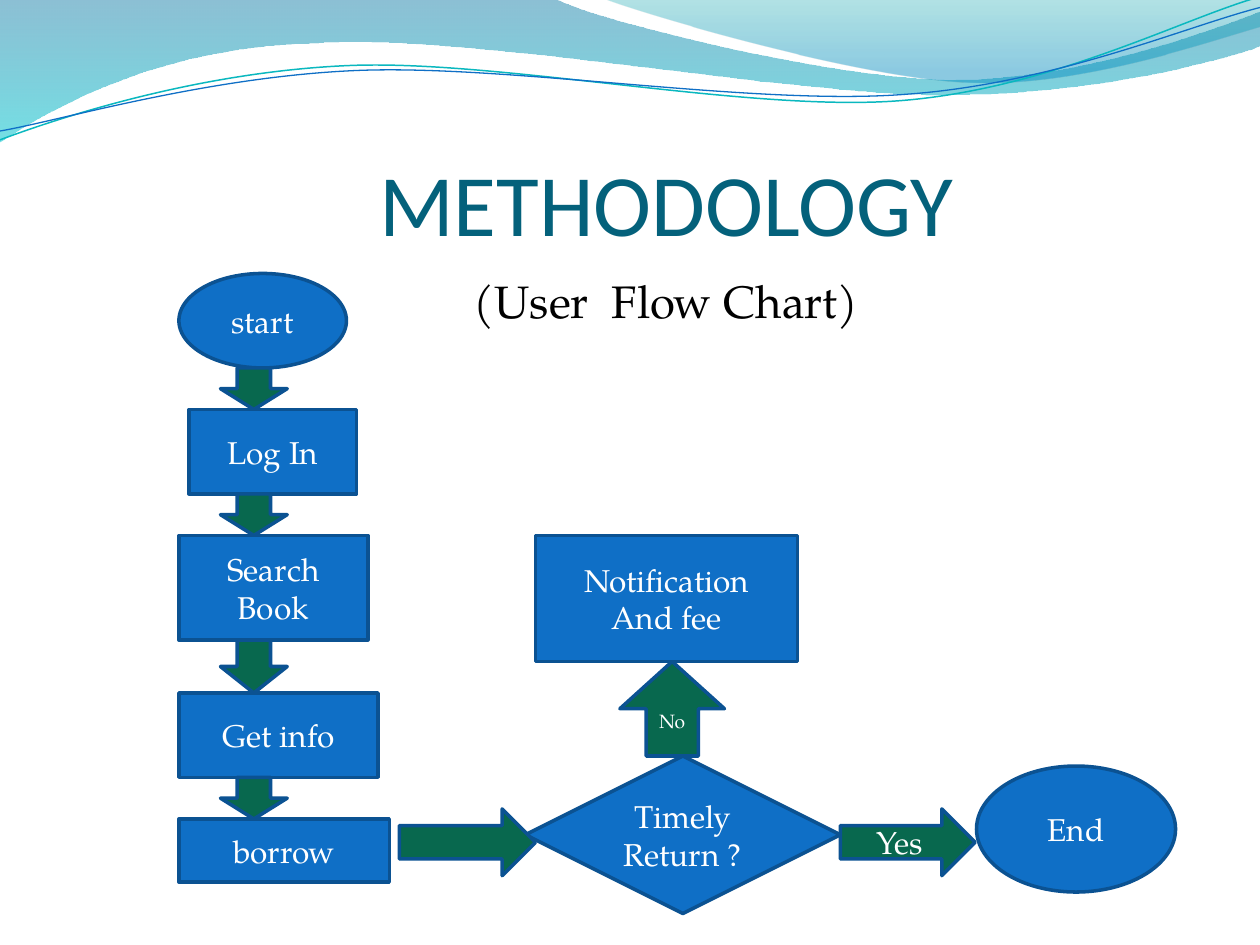
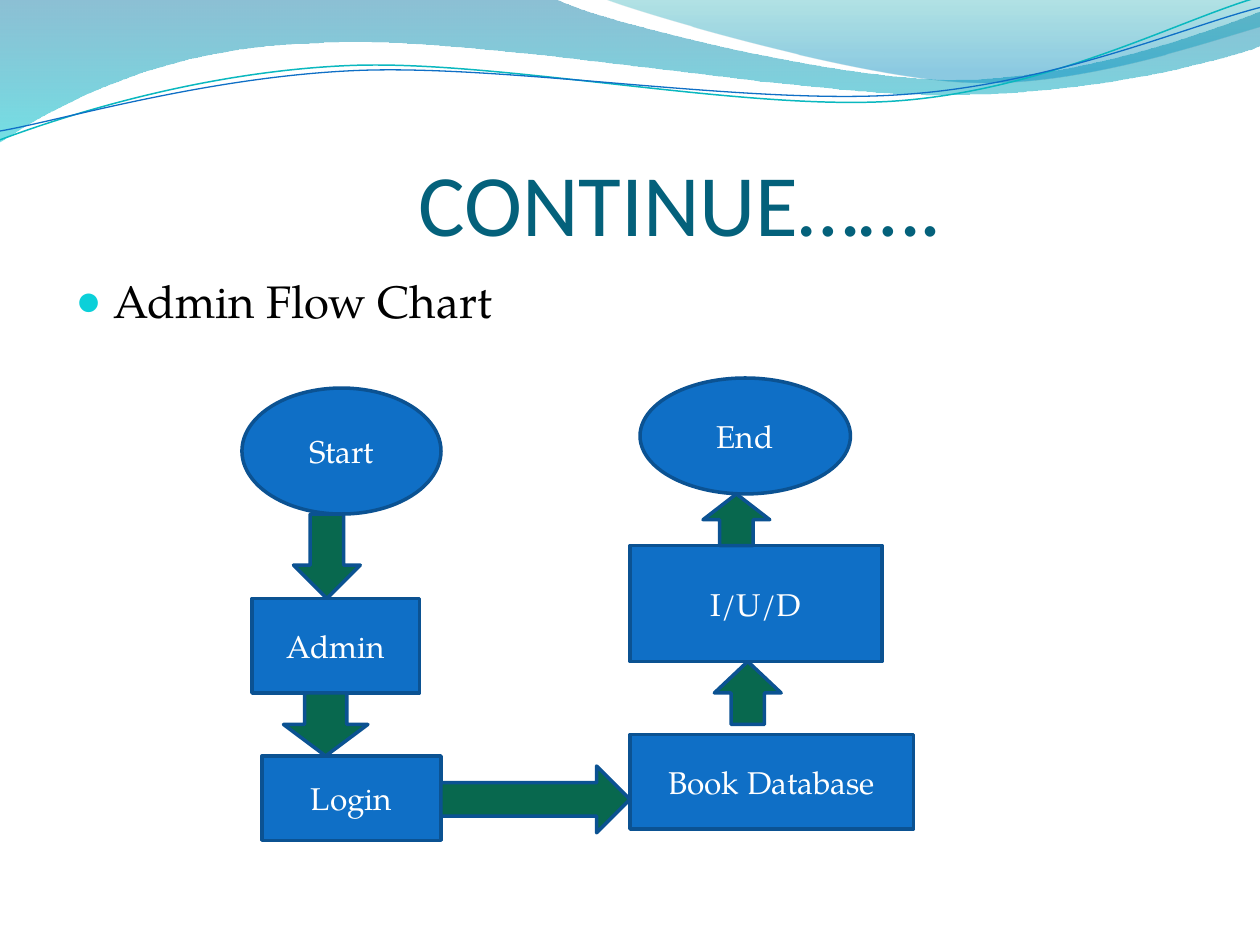
import math
from lxml import etree
from pptx import Presentation, util as u
from pptx.dml.color import RGBColor
from pptx.enum import shapes, text
from pptx.oxml import ns

BLUE, EDGE, GREEN = "0F6FC6", "0B5292", "08684E"
TEAL, INK, WHITE, DOT = "04617B", "000000", "FFFFFF", "0BD0D9"
HEAD, BODY = "Calibri", "TeX Gyre Pagella"
KIND = shapes.MSO_SHAPE
OVAL, RECT, DIAMOND = KIND.OVAL, KIND.RECTANGLE, KIND.DIAMOND
DOWN, UP, RIGHT = KIND.DOWN_ARROW, KIND.UP_ARROW, KIND.RIGHT_ARROW
THICK = 0.53
TILT = -2.7

BANDS = [
    ([(0, 0), (4.4, -0.01),
      (4.76, 0.17, 6.64, 0.63, 7.58, 0.63),
      (8.53, 0.63, 9.58, 0.26, 10, 0.09), (10.01, 0.36),
      (9.83, 0.44, 8.7, 0.76, 7.46, 0.75),
      (6.22, 0.75, 3.82, 0.28, 2.57, 0.34),
      (1.29, 0.36, 0.46, 0.83, -0.01, 1.13), (0, 0)],
     [(0, "0074A1", 45), (1, "00C6CF", 55)]),
    ([(4.79, -0.01),
      (5.09, 0.11, 6.82, 0.62, 7.69, 0.65),
      (8.56, 0.69, 9.61, 0.32, 10, 0.21), (10, 0), (4.79, -0.01)],
     [(0, "00A1A9", 30), (0.8, "008BBF", 45)]),
]
WAVES = [
    ([(0, 1.11),
      (0.48, 0.93, 1.58, 0.57, 2.77, 0.52),
      (3.95, 0.47, 5.93, 0.89, 7.13, 0.8),
      (8.33, 0.71, 9.38, 0.15, 9.98, -0.02)], (4.99, 0.58), "0AB8BF", 0.85),
    ([(0, 1.04),
      (0.47, 0.96, 1.64, 0.61, 2.83, 0.56),
      (4.03, 0.51, 5.97, 0.84, 7.17, 0.75),
      (8.36, 0.67, 9.41, 0.21, 10, 0.06)], (5, 0.59), BLUE, 0.75),
]


def rgb(code):
    return RGBColor.from_string(code)


def sub(node, tag, **attrs):
    return etree.SubElement(node, ns.qn(tag), attrs)


def level(move, mid):
    turn = math.radians(-TILT)
    cos, sin = math.cos(turn), math.sin(turn)
    flat = []
    for x, y in zip(move[::2], move[1::2]):
        dx, dy = x - mid[0], y - mid[1]
        flat += [mid[0] + dx * cos - dy * sin, mid[1] + dx * sin + dy * cos]
    return flat


def outline(slide, path, close):
    points = [(u.Inches(x), u.Inches(y))
              for move in path for x, y in zip(move[::2], move[1::2])]
    pen = slide.shapes.build_freeform(*points[0])
    pen.add_line_segments(points[1:], close=close)
    shape = pen.convert_to_shape()
    shape.shadow.inherit = False
    lines = shape.element.iter(ns.qn("a:lnTo"))
    lines = iter(list(lines))
    for move in path[1:]:
        line = next(lines)
        if len(move) == 6:
            line.tag = ns.qn("a:cubicBezTo")
            for extra in (next(lines), next(lines)):
                line.append(extra[0])
                extra.getparent().remove(extra)
    return shape


def add_band(slide, path, stops):
    shape = outline(slide, path, True)
    shape.line.fill.background()
    shape.fill.gradient()
    shape.fill.gradient_angle = 270
    for stop, (spot, code, _) in zip(shape.fill.gradient_stops, stops):
        stop.position = spot
        stop.color.rgb = rgb(code)
    for node, (_, _, alpha) in zip(shape.element.iter(ns.qn("a:srgbClr")), stops):
        sub(node, "a:alpha", val=str(alpha * 1000))
    return shape


def add_wave(slide, path, mid, code, width):
    shape = outline(slide, [level(move, mid) for move in path], False)
    shape.rotation = TILT
    shape.fill.background()
    shape.line.color.rgb = rgb(code)
    shape.line.width = u.Pt(width)
    return shape


def add_header(master, slide):
    parts = [add_band(slide, *band) for band in BANDS]
    parts += [add_wave(slide, *wave) for wave in WAVES]
    for spot, part in enumerate(parts, 2):
        master.shapes.element.insert(spot, part.element)


def add_run(para, words, size, font, code):
    run = para.add_run()
    run.text = words
    run.font.size = u.Pt(size)
    run.font.name = font
    run.font.color.rgb = rgb(code)


def place(shape, x, y, w, h):
    shape.left, shape.top = u.Inches(x), u.Inches(y)
    shape.width, shape.height = u.Inches(w), u.Inches(h)


def indent(para, left, hang=0):
    props = para._p.get_or_add_pPr()
    props.set("marL", str(u.Inches(left)))
    props.set("indent", str(u.Inches(-hang)))
    return props


def add_title(slide, words, left):
    title = slide.shapes.title
    place(title, 0.5, 0.77, 9, 1.25)
    frame = title.text_frame
    frame.auto_size = text.MSO_AUTO_SIZE.NONE
    frame.vertical_anchor = text.MSO_ANCHOR.BOTTOM
    frame.margin_left = frame.margin_right = frame.margin_bottom = 0
    frame.margin_top = u.Inches(0.05)
    para = frame.paragraphs[0]
    para.alignment = text.PP_ALIGN.LEFT
    indent(para, left)
    add_run(para, words, 50, HEAD, TEAL)


def add_body(slide, words, height, left, bullet):
    body = slide.placeholders[1]
    place(body, 0.5, 2.12, 9, height)
    body.text_frame.auto_size = text.MSO_AUTO_SIZE.NONE
    para = body.text_frame.paragraphs[0]
    props = indent(para, left, 0.3 if bullet else 0)
    if bullet:
        sub(sub(props, "a:buClr"), "a:srgbClr", val=DOT)
        sub(props, "a:buSzPct", val="95000")
        sub(props, "a:buChar", char="●")
    else:
        sub(props, "a:buNone")
    add_run(para, words, 26, BODY, INK)


def add_node(slide, kind, x, y, w, h, words="", fill=BLUE, size=18):
    shape = slide.shapes.add_shape(kind, *map(u.Inches, (x, y, w, h)))
    shape.shadow.inherit = False
    shape.fill.solid()
    shape.fill.fore_color.rgb = rgb(fill)
    shape.line.color.rgb = rgb(EDGE)
    shape.line.width = u.Pt(2)
    frame = shape.text_frame
    frame.word_wrap = True
    frame.vertical_anchor = text.MSO_ANCHOR.MIDDLE
    for i, line in enumerate(words.split("\n") if words else []):
        para = frame.add_paragraph() if i else frame.paragraphs[0]
        para.alignment = text.PP_ALIGN.CENTER
        add_run(para, line, size, BODY, WHITE)


def add_arrow(slide, kind, x, y, w, h, words="", size=18):
    add_node(slide, kind, x, y, w, h, words, GREEN, size)


def user_flow(slide):
    add_title(slide, "METHODOLOGY", 2.51)
    add_body(slide, "(User  Flow Chart)", 4.97, 3.16, False)
    steps = [
        (OVAL, 1.42, 2.17, 1.33, 0.75, "start"),
        (RECT, 1.5, 3.25, 1.33, 0.67, "Log In"),
        (RECT, 1.42, 4.25, 1.5, 0.83, "Search Book"),
        (RECT, 1.42, 5.5, 1.58, 0.67, "Get info"),
        (RECT, 1.42, 6.5, 1.67, 0.5, "borrow"),
    ]
    checks = [
        (DIAMOND, 4.17, 6, 2.5, 1.25, "Timely\nReturn ?"),
        (RECT, 4.25, 4.25, 2.08, 1, "Notification\nAnd fee"),
    ]
    for node in steps + checks:
        add_node(slide, *node)
    for above, below in zip(steps, steps[1:]):
        top = above[2] + above[4]
        add_arrow(slide, DOWN, 1.75, top, THICK, below[2] - top)
    add_arrow(slide, RIGHT, 3.17, 6.42, 1.08, THICK)
    add_arrow(slide, UP, 4.92, 5.25, 0.83, 0.75, "No", 11)
    add_arrow(slide, RIGHT, 6.67, 6.42, 1.07, THICK, "Yes")
    add_node(slide, OVAL, 7.75, 6.08, 1.58, 1, "End")


def admin_flow(slide):
    add_title(slide, "CONTINUE…….", 2.82)
    add_body(slide, "Admin Flow Chart", 4.8, 0.3, True)
    for node in [
        (RECT, 2, 4.75, 1.33, 0.75, "Admin"),
        (OVAL, 1.92, 3.08, 1.58, 1, "Start"),
        (RECT, 2.08, 6, 1.42, 0.67, "Login"),
        (RECT, 5, 5.83, 2.25, 0.75, "Book Database"),
        (RECT, 5, 4.33, 2, 0.92, "I/U/D"),
    ]:
        add_node(slide, *node)
    for arrow in [
        (DOWN, 2.33, 4.08, THICK, 0.67),
        (DOWN, 2.25, 5.5, 0.67, 0.5),
        (RIGHT, 3.5, 6.08, 1.5, THICK),
        (UP, 5.67, 5.25, THICK, 0.5),
    ]:
        add_arrow(slide, *arrow)
    add_node(slide, OVAL, 5.08, 3, 1.67, 0.92, "End")
    add_arrow(slide, UP, 5.58, 3.92, THICK, 0.41)


def main():
    deck = Presentation()
    deck.slide_width, deck.slide_height = u.Inches(10), u.Inches(7.5)
    layout = deck.slide_layouts[1]
    first, second = [deck.slides.add_slide(layout) for _ in range(2)]
    add_header(deck.slide_master, first)
    user_flow(first)
    admin_flow(second)
    deck.save("out.pptx")


if __name__ == "__main__":
    main()
